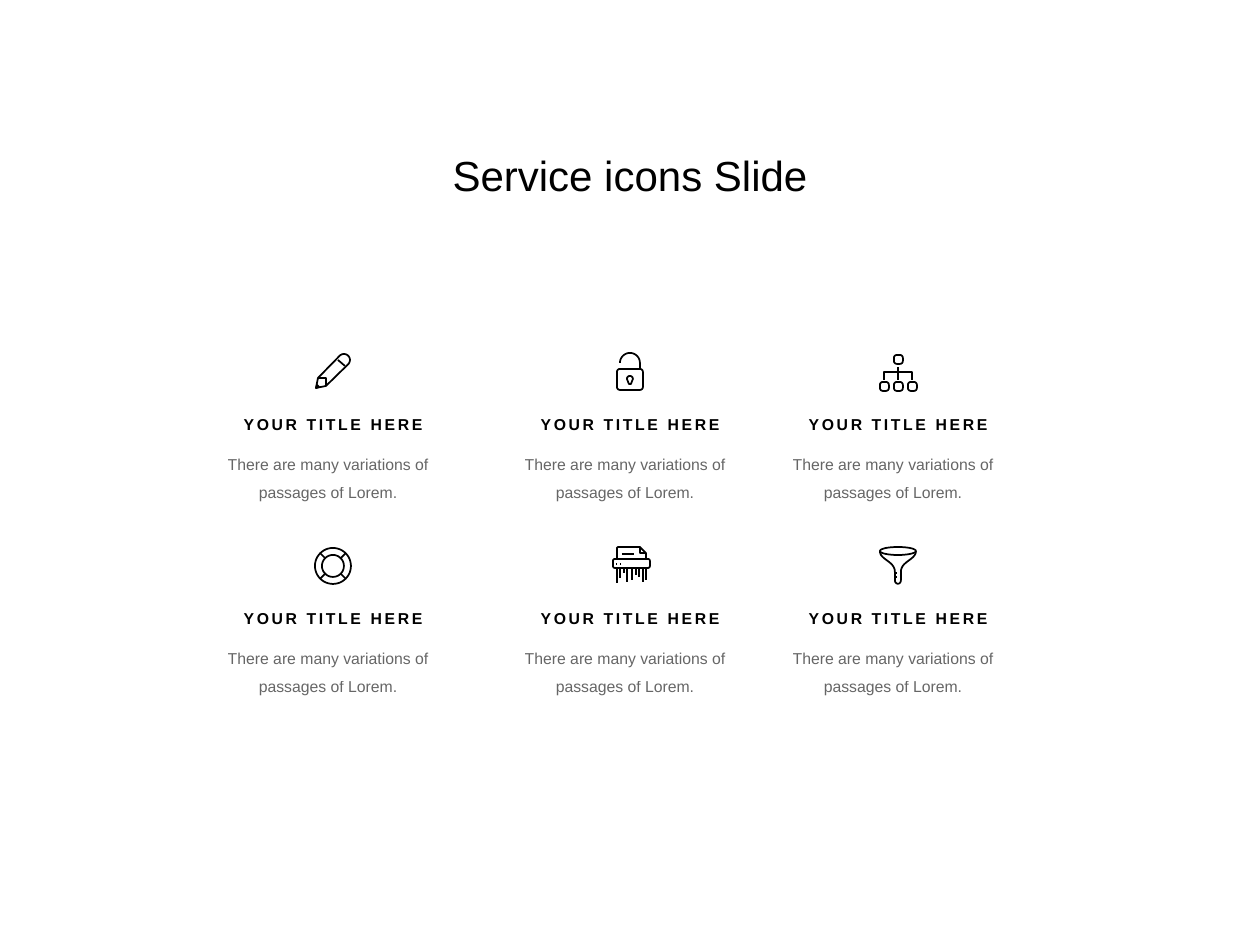
from dataclasses import dataclass
from math import cos, radians, sin

from lxml.etree import SubElement
from pptx import Presentation
from pptx.dml.color import RGBColor
from pptx.enum.text import MSO_ANCHOR, MSO_AUTO_SIZE, PP_ALIGN
from pptx.oxml.ns import qn
from pptx.util import Emu, Pt

EMU_PER_PX = 914400 // 126


def px(length):
    return Emu(round(length * EMU_PER_PX))


@dataclass(frozen=True)
class Theme:
    ink: RGBColor = RGBColor(0, 0, 0)
    font: str = "Arial"
    title_size: int = 24
    text_size: int = 9
    stroke: float = 1
    tracking: int = 150
    body_alpha: int = 60000


def set_all(target, values):
    for key, value in values.items():
        setattr(target, key, value)


def arc(cx, cy, rx, ry, start=0, end=360, steps=24):
    angles = [radians(start + (end - start) * i / steps) for i in range(steps + 1)]
    return [(cx + rx * cos(a), cy + ry * sin(a)) for a in angles]


def curve(a, b, c, d, steps=16):
    points = []
    for i in range(steps + 1):
        t = i / steps
        u = 1 - t
        weights = (u ** 3, 3 * u * u * t, 3 * u * t * t, t ** 3)
        points.append(tuple(sum(w * p[axis] for w, p in zip(weights, (a, b, c, d)))
                            for axis in (0, 1)))
    return points


def rounded_box(left, top, right, bottom, radius):
    corners = [(right - radius, bottom - radius), (left + radius, bottom - radius),
               (left + radius, top + radius), (right - radius, top + radius)]
    points = [point for i, (x, y) in enumerate(corners)
              for point in arc(x, y, radius, radius, 90 * i, 90 * i + 90, 6)]
    return points + points[:1]


def pencil():
    return [
        [(-17, 16), (-15, 6), *arc(11, -12, 6, 6, -135, 45), (-7, 14), (-17, 16)],
        [(5, -12), (12, -6)],
        [(-15, 6), (-7, 6), (-7, 14)],
        [(-17, 16), (-16, 13), (-14, 15), (-17, 16)],
    ]


def open_lock():
    return [
        rounded_box(-13, -3, 13, 18, 3),
        [*arc(0, -9, 10, 10, 180, 360), (10, -3)],
        [*arc(0, 7, 3, 3, 180, 360), (1, 12), (-1, 12), (-3, 7)],
    ]


def hierarchy():
    nodes = [(-4, -17), (-18, 10), (-4, 10), (10, 10)]
    return [rounded_box(x, y, x + 9, y + 9, 3) for x, y in nodes] + [
        [(0, -5), (0, 8)],
        [(-14, 8), (-14, 0), (14, 0), (14, 8)],
    ]


def life_ring():
    spokes = [[(8 * x, 8 * y), (13 * x, 13 * y)] for x in (-1, 1) for y in (-1, 1)]
    return [arc(0, 0, 18, 18, steps=48), arc(0, 0, 11, 11, steps=36)] + spokes


def shredder():
    strips = {-13: 17, -10: 12, -6: 7, -3: 16, 2: 14, 6: 9, 9: 11, 13: 16, 16: 14}
    return [
        rounded_box(-17, -7, 20, 2, 2),
        [(-13, -7), (-13, -18), (-12, -19), (10, -19), (16, -13), (16, -7)],
        [(10, -19), (10, -13), (16, -13)],
        [(-8, -12), (4, -12)],
        [(-14, -2), (-13, -2)],
        [(-10, -2), (-9, -2)],
    ] + [[(x, 2), (x, bottom)] for x, bottom in strips.items()]


def funnel():
    cone = [(-18, -15), (-18, -6), (-3, -5), (-3, 6)]
    mirrored = [(-x, y) for x, y in reversed(cone)]
    spout = curve((-3, 14), (-3, 19), (3, 19), (3, 14))
    return [
        arc(0, -15, 18, 4, steps=36),
        curve(*cone) + spout + curve(*mirrored),
        [(-3, 7), (-1, 7)],
        [(-3, 11), (-1, 11)],
    ]


class SlideBuilder:
    def __init__(self, deck, theme):
        self.theme = theme
        self.slide = deck.slides.add_slide(deck.slide_layouts[5])

    def fill_text(self, holder, text, size, spacing, frame_format, bold=False):
        frame = holder.text_frame
        set_all(frame, frame_format)
        paragraph = frame.paragraphs[0]
        set_all(paragraph, {"alignment": PP_ALIGN.CENTER, "line_spacing": spacing})
        run = paragraph.add_run()
        run.text = text
        set_all(run.font, {"name": self.theme.font, "size": Pt(size), "bold": bold})
        run.font.color.rgb = self.theme.ink
        return run

    def title(self, text, left, top, width, height):
        heading = self.slide.shapes.title
        set_all(heading, {"left": px(left), "top": px(top),
                          "width": px(width), "height": px(height)})
        self.fill_text(heading, text, self.theme.title_size, 0.9,
                       {"vertical_anchor": MSO_ANCHOR.MIDDLE, "word_wrap": True})

    def text(self, text, left, top, width, height, spacing, right_inset=0,
             wrap=True, bold=False):
        holder = self.slide.shapes.add_textbox(px(left), px(top), px(width), px(height))
        return self.fill_text(holder, text, self.theme.text_size, spacing, {
            "margin_left": 0, "margin_top": 0, "margin_bottom": 0,
            "margin_right": px(right_inset), "word_wrap": wrap,
            "auto_size": MSO_AUTO_SIZE.SHAPE_TO_FIT_TEXT,
        }, bold)

    def caption(self, text, center, top):
        run = self.text(text, center - 91, top, 182, 15, 0.8, wrap=False, bold=True)
        run.font._element.set("spc", str(self.theme.tracking))

    def body(self, text, center, top):
        run = self.text(text, center - 120, top, 239, 54, 1.5, right_inset=9)
        color = run.font._element.find(".//" + qn("a:srgbClr"))
        SubElement(color, qn("a:alpha")).set("val", str(self.theme.body_alpha))

    def icon(self, contours, center, middle):
        placed = [[(px(center + x), px(middle + y)) for x, y in contour]
                  for contour in contours]
        builder = self.slide.shapes.build_freeform(*placed[0][0])
        for start, *rest in placed:
            builder.move_to(*start)
            builder.add_line_segments(rest, close=False)
        outline = builder.convert_to_shape()
        outline.shadow.inherit = False
        outline.fill.background()
        outline.line.width = Pt(self.theme.stroke)
        outline.line.color.rgb = self.theme.ink


def main():
    deck = Presentation()
    set_all(deck, {"slide_width": px(1260), "slide_height": px(945)})
    page = SlideBuilder(deck, Theme())
    page.title("Service icons Slide", 185, 144, 890, 68)

    column_centers = (333, 630, 898)
    first_row, row_pitch = 372, 194
    services = ((pencil, open_lock, hierarchy), (life_ring, shredder, funnel))
    for row, icons in enumerate(services):
        middle = first_row + row * row_pitch
        for center, draw in zip(column_centers, icons):
            page.icon(draw(), center, middle)
            page.caption("YOUR TITLE HERE", center, middle + 46)
            page.body("There are many variations of passages of Lorem.", center, middle + 73)

    deck.save("out.pptx")


if __name__ == "__main__":
    main()
